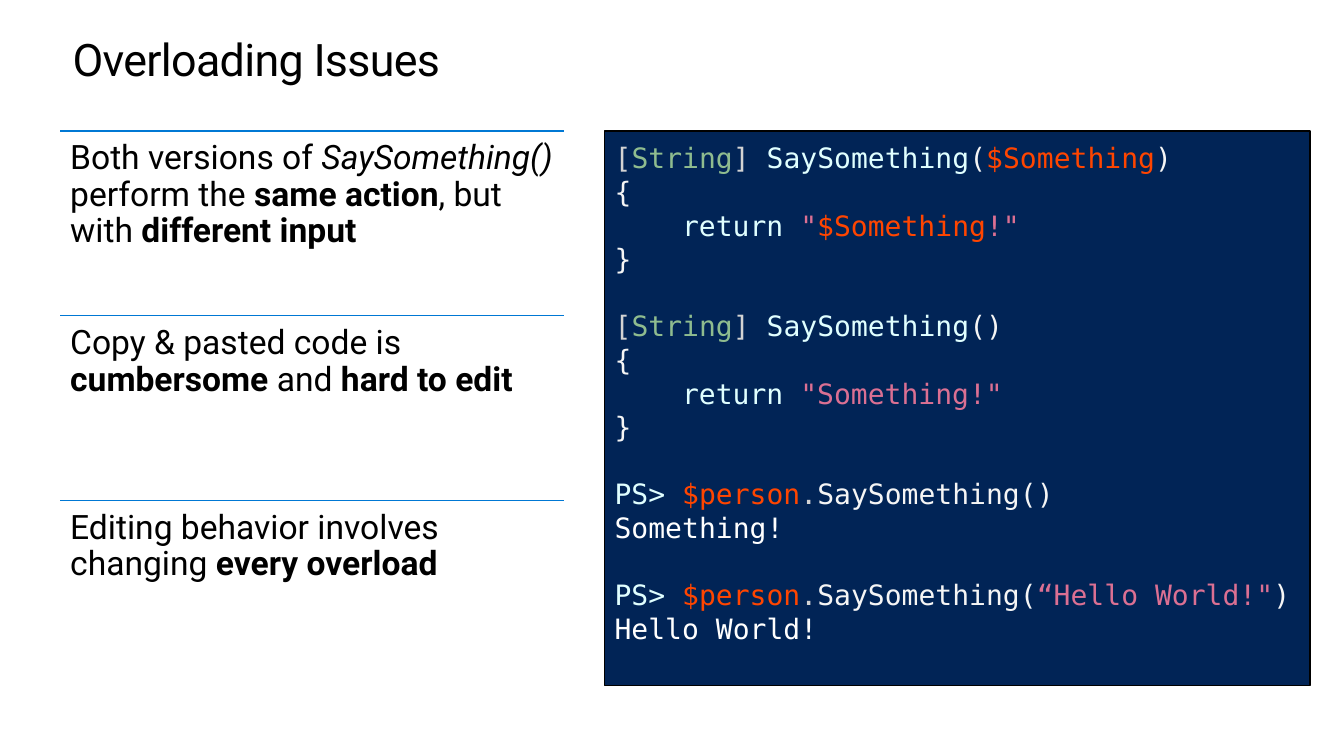
from dataclasses import dataclass

from pptx import Presentation
from pptx.dml.color import RGBColor
from pptx.enum.shapes import MSO_CONNECTOR, MSO_SHAPE
from pptx.enum.text import MSO_ANCHOR, PP_ALIGN
from pptx.oxml import parse_xml
from pptx.oxml.ns import nsdecls
from pptx.util import Cm, Pt


@dataclass(frozen=True)
class Theme:
    body_font: str = "Roboto"
    code_font: str = "DejaVu Sans Mono"
    title_size: float = 32
    body_size: float = 24
    code_size: float = 20
    ink: str = "000000"
    rule: str = "0078D4"
    console: str = "012456"
    bracket: str = "D3D3D3"
    type_name: str = "8FBC8F"
    command: str = "E0FFFF"
    plain: str = "F5F5F5"
    variable: str = "FF4500"
    string: str = "DB7093"
    output: str = "FFFFFF"


THEME = Theme()

LEFT, TOP = 1.52, 3.3
POINT_WIDTH = 12.7
CODE_LEFT, CODE_WIDTH = 15.24, 17.78
CONTENT_HEIGHT = 13.97
CODE_INDENT = 1.7
CODE_LINE = 24

# Each point is a list of (text, style) pairs.
POINTS = [
    [("Both versions of ", ""), ("SaySomething()", "italic"),
     (" perform the ", ""), ("same action", "bold"),
     (", but with ", ""), ("different input", "bold")],
    [("Copy & pasted code is ", ""), ("cumbersome", "bold"),
     (" and ", ""), ("hard to edit", "bold")],
    [("Editing behavior involves changing", ""), (" every overload", "bold")],
]

TYPE = [("[", THEME.bracket), ("String", THEME.type_name),
        ("] ", THEME.bracket), ("SaySomething", THEME.command)]
CALL = [("PS> ", THEME.command), ("$person", THEME.variable),
        (".", THEME.bracket)]


def method(parameters, value):
    """Lines of one overload, each as (indent level, tokens)."""
    return [
        (0, TYPE + parameters),
        (0, [("{", THEME.plain)]),
        (1, [("return ", THEME.command)] + value),
        (0, [("}", THEME.plain)]),
    ]


def call(arguments, result):
    """Lines of one prompt and its result, each as (indent level, tokens)."""
    return [(0, CALL + arguments), (0, [(result, THEME.output)])]


CODE_BLOCKS = [
    method([("(", THEME.plain), ("$Something", THEME.variable),
            (")", THEME.plain)],
           [('"', THEME.string), ("$Something", THEME.variable),
            ('!"', THEME.string)]),
    method([("()", THEME.plain)], [('"Something!"', THEME.string)]),
    call([("SaySomething()", THEME.plain)], "Something!"),
    call([("SaySomething(", THEME.plain), ('“Hello World!"', THEME.string),
          (")", THEME.plain)], "Hello World!"),
]


def add_span(para, text, font, size, color):
    span = para.add_run()
    span.text = text
    span.font.name = font
    span.font.size = Pt(size)
    span.font.color.rgb = RGBColor.from_string(color)
    return span


def prepare_frame(shape, inset):
    frame = shape.text_frame
    frame.word_wrap = True
    frame.vertical_anchor = MSO_ANCHOR.TOP
    frame.margin_left = frame.margin_right = Cm(inset)
    frame.margin_top = frame.margin_bottom = Cm(inset)
    return frame


def add_title(page, text):
    box = page.shapes.add_textbox(Cm(1.83), Cm(0.89), Cm(12.09), Cm(1.27))
    para = prepare_frame(box, 0).paragraphs[0]
    para.line_spacing = Pt(36.2)
    span = add_span(para, text, THEME.body_font, THEME.title_size, THEME.ink)
    span.font._element.set("spc", "-50")


def add_rule(page, top):
    rule = page.shapes.add_connector(
        MSO_CONNECTOR.STRAIGHT,
        Cm(LEFT), Cm(top), Cm(LEFT + POINT_WIDTH), Cm(top))
    rule.line.color.rgb = RGBColor.from_string(THEME.rule)
    rule.line.width = Pt(1)
    rule._element.spPr.append(parse_xml(f"<a:effectLst {nsdecls('a')}/>"))


def add_point(page, top, height, parts):
    add_rule(page, top)
    box = page.shapes.add_textbox(
        Cm(LEFT), Cm(top), Cm(POINT_WIDTH), Cm(height))
    para = prepare_frame(box, 0.25).paragraphs[0]
    para.line_spacing = 0.9
    for text, style in parts:
        span = add_span(
            para, text, THEME.body_font, THEME.body_size, THEME.ink)
        span.font.bold = style == "bold"
        span.font.italic = style == "italic"


def add_code(page, blocks):
    panel = page.shapes.add_shape(
        MSO_SHAPE.RECTANGLE,
        Cm(CODE_LEFT), Cm(TOP), Cm(CODE_WIDTH), Cm(CONTENT_HEIGHT))
    panel.shadow.inherit = False
    panel.fill.solid()
    panel.fill.fore_color.rgb = RGBColor.from_string(THEME.console)
    panel.line.color.rgb = RGBColor.from_string(THEME.ink)
    panel.line.width = Pt(1)
    frame = prepare_frame(panel, 0.25)
    para = frame.paragraphs[0]
    for block_index, block in enumerate(blocks):
        for line_index, (level, tokens) in enumerate(block):
            if block_index or line_index:
                para = frame.add_paragraph()
            para.alignment = PP_ALIGN.LEFT
            if block_index and not line_index:
                para.space_before = Pt(CODE_LINE)
            properties = para._p.get_or_add_pPr()
            properties.set("marL", str(Cm(level * CODE_INDENT)))
            for text, color in tokens:
                add_span(para, text, THEME.code_font, THEME.code_size, color)


def main():
    deck = Presentation()
    deck.slide_width, deck.slide_height = Cm(33.87), Cm(19.05)
    page = deck.slides.add_slide(deck.slide_layouts[6])
    add_title(page, "Overloading Issues")
    height = CONTENT_HEIGHT / len(POINTS)
    for index, parts in enumerate(POINTS):
        add_point(page, TOP + index * height, height, parts)
    add_code(page, CODE_BLOCKS)
    deck.save("out.pptx")


if __name__ == "__main__":
    main()
